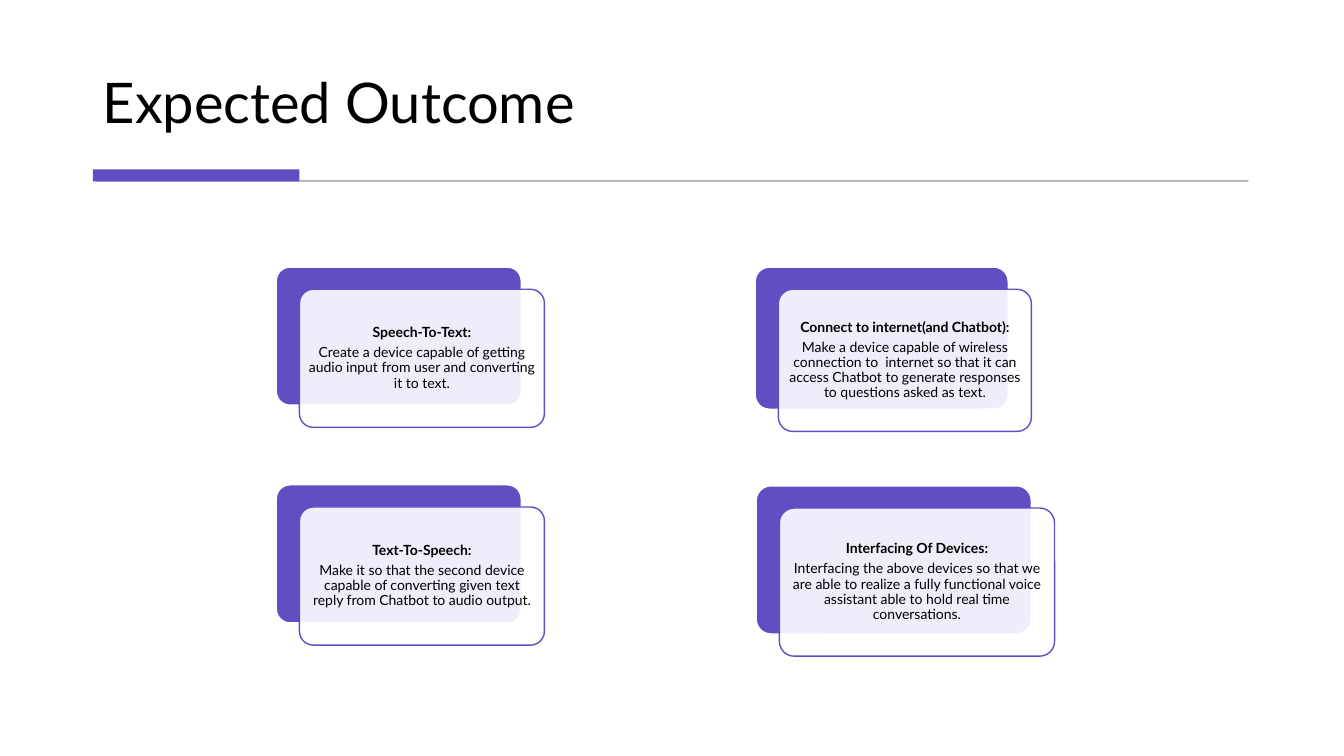
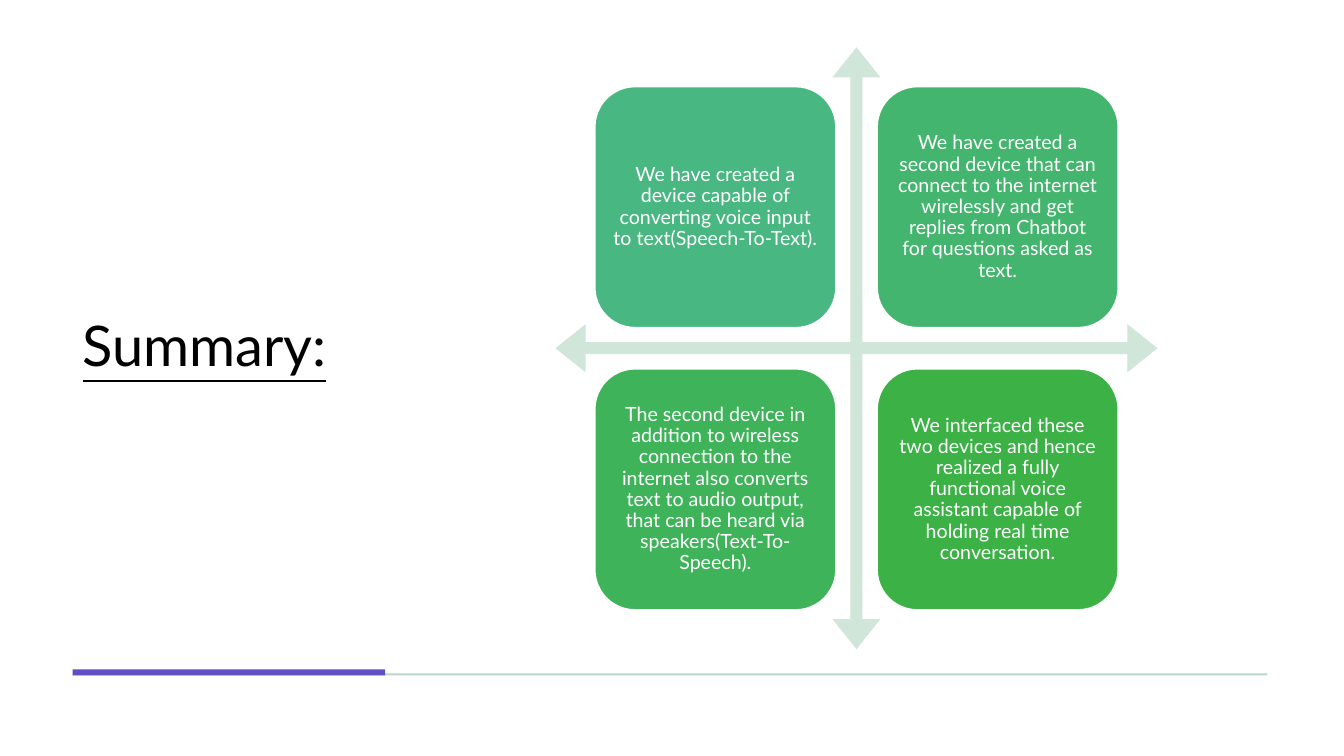
import dataclasses
import itertools

import pptx
import pptx.dml.color
import pptx.enum.shapes
import pptx.enum.text
import pptx.oxml
import pptx.oxml.ns
import pptx.util

Inches = pptx.util.Inches
Pt = pptx.util.Pt
SHAPE = pptx.enum.shapes.MSO_SHAPE
ALIGN = pptx.enum.text.PP_ALIGN
ANCHOR = pptx.enum.text.MSO_ANCHOR


@dataclasses.dataclass(frozen=True)
class Theme:
    font: str = "Lato"
    ink: str = "000000"
    paper: str = "FFFFFF"
    accent: str = "624DC3"
    grey_rule: str = "595959"
    green_rule: str = "BAD8C9"
    arrows: str = "CFE6D8"
    quadrants: tuple = ("48B781", "44B56E", "3FB35A", "3BB146")
    title_size: float = 40
    card_size: float = 10
    quadrant_size: float = 14
    line_spacing: float = 0.9


THEME = Theme()


def rgb(color):
    return pptx.dml.color.RGBColor.from_string(color)


def write(paragraph, text, *, size, color=THEME.ink, bold=False, underline=False,
          align=ALIGN.LEFT, after=0):
    """Fill one paragraph with formatted text."""
    paragraph.alignment = align
    paragraph.line_spacing = THEME.line_spacing
    paragraph.space_after = Pt(after)
    run = paragraph.add_run()
    run.text = text
    run.font.name = THEME.font
    run.font.size = Pt(size)
    run.font.bold = bold
    run.font.underline = underline
    run.font.color.rgb = rgb(color)


def set_opacity(properties, percent):
    """Make the solid fill directly inside a properties element translucent."""
    color = properties.find(pptx.oxml.ns.qn("a:solidFill"))[0]
    color.append(pptx.oxml.parse_xml(
        f'<a:alpha {pptx.oxml.ns.nsdecls("a")} val="{percent * 1000}"/>'))


class Deck:
    def __init__(self):
        self.show = pptx.Presentation()
        self.show.slide_width = Inches(13.33)
        self.show.slide_height = Inches(7.5)
        self.slide = None

    def new_slide(self):
        self.slide = self.show.slides.add_slide(self.show.slide_layouts[6])

    def title(self, text, left, top, width, height, anchor, underline=False):
        box = self.slide.shapes.add_textbox(
            Inches(left), Inches(top), Inches(width), Inches(height))
        box.text_frame.word_wrap = True
        box.text_frame.vertical_anchor = anchor
        write(box.text_frame.paragraphs[0], text, size=THEME.title_size,
              underline=underline, after=6)

    def block(self, kind, left, top, width, height, fill, line=None, line_width=1,
              opacity=100, line_opacity=100, adjustments=()):
        block = self.slide.shapes.add_shape(
            kind, Inches(left), Inches(top), Inches(width), Inches(height))
        block.shadow.inherit = False
        block.fill.solid()
        block.fill.fore_color.rgb = rgb(fill)
        if opacity < 100:
            set_opacity(block.element.spPr, opacity)
        if line:
            block.line.color.rgb = rgb(line)
            block.line.width = Pt(line_width)
            if line_opacity < 100:
                set_opacity(block.element.spPr.find(pptx.oxml.ns.qn("a:ln")), line_opacity)
        else:
            block.line.fill.background()
        for index, value in enumerate(adjustments):
            block.adjustments[index] = value
        return block

    def centred_text(self, block, texts, size, color, inset, bold_first=False):
        frame = block.text_frame
        frame.word_wrap = True
        frame.vertical_anchor = ANCHOR.MIDDLE
        frame.margin_left = frame.margin_right = Inches(inset)
        frame.margin_top = frame.margin_bottom = Inches(inset)
        for index, text in enumerate(texts):
            paragraph = frame.add_paragraph() if index else frame.paragraphs[0]
            write(paragraph, text, size=size, color=color, align=ALIGN.CENTER,
                  bold=bold_first and index == 0, after=size * 0.35)

    def accent_bar(self, left, top, width, height):
        self.block(SHAPE.RECTANGLE, left, top, width, height, THEME.accent)

    def outcome_card(self, left, top, width, height, heading, body):
        corner = (0.1,)
        self.block(SHAPE.ROUNDED_RECTANGLE, left, top, width, height,
                   THEME.accent, line=THEME.paper, adjustments=corner)
        front = self.block(SHAPE.ROUNDED_RECTANGLE, left + 0.23, top + 0.22, width, height,
                           THEME.paper, line=THEME.accent, opacity=90, adjustments=corner)
        self.centred_text(front, (heading, body), THEME.card_size, THEME.ink, 0.04,
                          bold_first=True)

    def quadrant(self, left, top, side, fill, text):
        tile = self.block(SHAPE.ROUNDED_RECTANGLE, left, top, side, side, fill,
                          line=THEME.paper)
        self.centred_text(tile, (text,), THEME.quadrant_size, THEME.paper, 0.06)


def expected_outcome(deck):
    deck.new_slide()
    deck.title("Expected Outcome", 0.92, 0.28, 11.49, 1.11, ANCHOR.BOTTOM)

    # Rule under the title
    deck.block(SHAPE.RECTANGLE, 0.95, 1.79, 11.43, 0.01, THEME.grey_rule,
               line=THEME.grey_rule, line_width=0.75, opacity=30, line_opacity=30)
    deck.accent_bar(0.92, 1.68, 2.05, 0.12)

    # Four outcomes, each card sized to its text
    outcomes = (
        (2.74, 2.65, 2.43, 1.37, "Speech-To-Text:",
         "Create a device capable of getting audio input from user and converting "
         "it to text."),
        (7.49, 2.65, 2.51, 1.41, "Connect to internet(and Chatbot):",
         "Make a device capable of wireless connection to  internet so that it can "
         "access Chatbot to generate responses to questions asked as text."),
        (2.74, 4.81, 2.43, 1.37, "Text-To-Speech:",
         "Make it so that the second device capable of converting given text reply "
         "from Chatbot to audio output."),
        (7.5, 4.82, 2.73, 1.47, "Interfacing Of Devices:",
         "Interfacing the above devices so that we are able to realize a fully "
         "functional voice assistant able to hold real time conversations."),
    )
    for outcome in outcomes:
        deck.outcome_card(*outcome)


def summary(deck):
    deck.new_slide()
    deck.title("Summary:", 0.72, 0.47, 3.39, 5.97, ANCHOR.MIDDLE, underline=True)

    # Rule along the bottom
    deck.block(SHAPE.RECTANGLE, 0.72, 6.68, 11.85, 0.02, THEME.green_rule)
    deck.accent_bar(0.72, 6.64, 3.1, 0.06)

    # Crossed arrows with one finding in each quadrant
    deck.block(SHAPE.QUAD_ARROW, 5.51, 0.47, 5.97, 5.97, THEME.arrows,
               adjustments=(0.02, 0.04, 0.05))
    findings = (
        "We have created a device capable of converting voice input to "
        "text(Speech-To-Text).",
        "We have created a second device that can connect to the internet wirelessly "
        "and get replies from Chatbot for questions asked as text.",
        "The second device in addition to wireless connection to the internet also "
        "converts text to audio output, that can be heard via speakers(Text-To-Speech).",
        "We interfaced these two devices and hence realized a fully functional voice "
        "assistant capable of holding real time conversation.",
    )
    step = 2.8
    cells = itertools.product(range(2), repeat=2)
    for (row, column), fill, finding in zip(cells, THEME.quadrants, findings):
        deck.quadrant(5.9 + column * step, 0.86 + row * step, 2.39, fill, finding)


def main():
    deck = Deck()
    expected_outcome(deck)
    summary(deck)
    deck.show.save("out.pptx")


if __name__ == "__main__":
    main()
